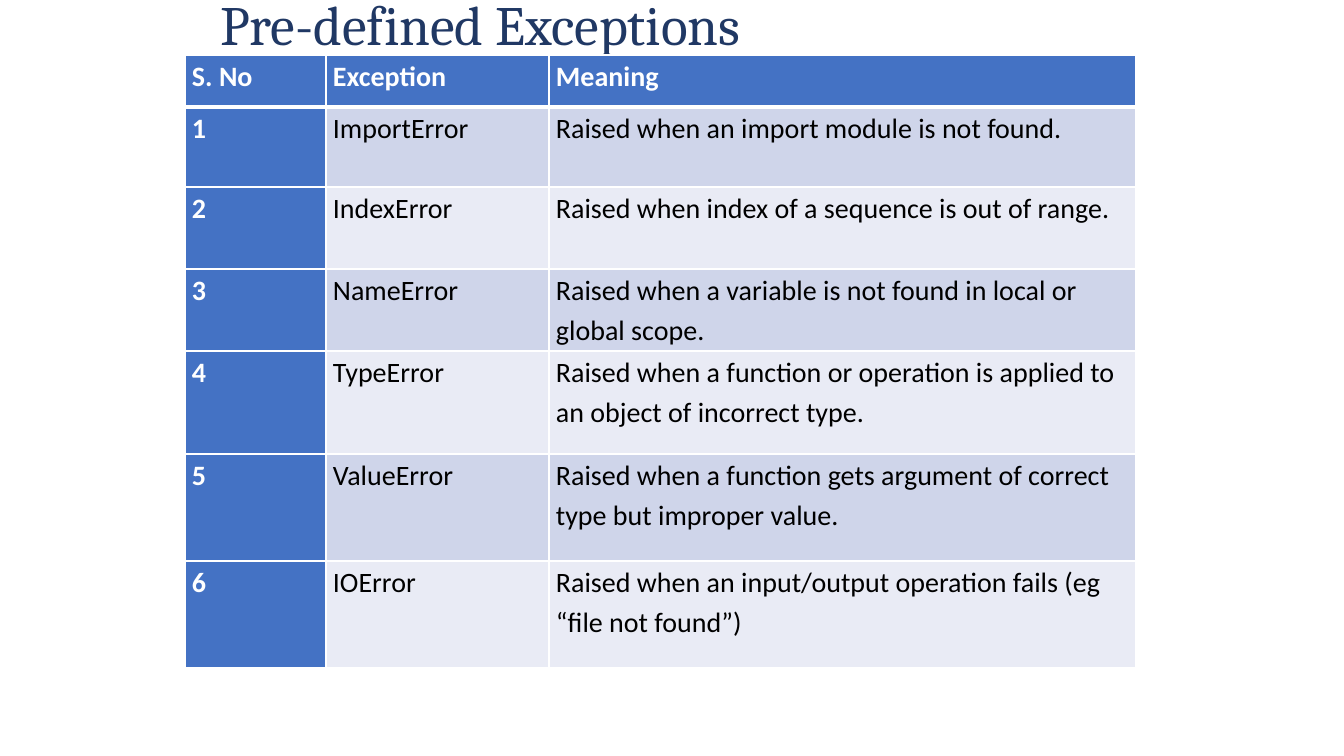
"""Build the slide that tabulates pre-defined exceptions."""
from dataclasses import dataclass

from lxml import etree
from pptx import Presentation
from pptx.dml.color import RGBColor
from pptx.enum.text import MSO_ANCHOR, MSO_AUTO_SIZE, PP_ALIGN
from pptx.oxml.ns import qn
from pptx.util import Emu, Pt

NAVY = RGBColor(0x20, 0x38, 0x64)
BLUE = RGBColor(0x44, 0x72, 0xC4)
BAND_DARK = RGBColor(0xCF, 0xD5, 0xEA)
BAND_LIGHT = RGBColor(0xE9, 0xEB, 0xF5)
WHITE = RGBColor(0xFF, 0xFF, 0xFF)
BLACK = RGBColor(0x00, 0x00, 0x00)

EMU_PER_PIXEL = 914400 / 100.8
COLUMN_WIDTHS = (141, 223, 587)
HEADER_HEIGHT = 52


@dataclass(frozen=True)
class ExceptionRow:
    name: str
    meaning: str
    height: int


EXCEPTIONS = (
    ExceptionRow("ImportError", "Raised when an import module is not found.", 80),
    ExceptionRow("IndexError", "Raised when index of a sequence is out of range.", 82),
    ExceptionRow("NameError", "Raised when a variable is not found in local or global scope.", 82),
    ExceptionRow("TypeError", "Raised when a function or operation is applied to an object of incorrect type.", 103),
    ExceptionRow("ValueError", "Raised when a function gets argument of correct type but improper value.", 107),
    ExceptionRow("IOError", "Raised when an input/output operation fails (eg “file not found”)", 107),
)


def px(pixels: int) -> Emu:
    return Emu(round(pixels * EMU_PER_PIXEL))


def add_borders(cell, bottom_points: int, top_points: int) -> None:
    properties = cell._tc.get_or_add_tcPr()
    for side, points in (("L", 1), ("R", 1), ("T", top_points), ("B", bottom_points)):
        line = etree.SubElement(properties, qn(f"a:ln{side}"), w=str(Pt(points)))
        fill = etree.SubElement(line, qn("a:solidFill"))
        etree.SubElement(fill, qn("a:srgbClr"), val=str(WHITE))


def style_cell(cell, text: str, row: int, column: int) -> None:
    emphasised = row == 0 or column == 0
    add_borders(cell, 3 if row == 0 else 1, 3 if row == 1 else 1)
    cell.fill.solid()
    cell.fill.fore_color.rgb = BLUE if emphasised else (BAND_LIGHT, BAND_DARK)[row % 2]
    cell.margin_left = cell.margin_right = px(7)
    cell.margin_top = cell.margin_bottom = 0
    paragraph = cell.text_frame.paragraphs[0]
    paragraph.line_spacing = 1.15
    run = paragraph.add_run()
    run.text = text
    run.font.name = "Calibri"
    run.font.size = Pt(20)
    run.font.bold = emphasised
    run.font.color.rgb = WHITE if emphasised else BLACK


def add_title(slide, text: str) -> None:
    title = slide.shapes.title
    title.left, title.top, title.width, title.height = map(px, (210, 1, 907, 53))
    frame = title.text_frame
    frame.auto_size = MSO_AUTO_SIZE.NONE
    frame.vertical_anchor = MSO_ANCHOR.MIDDLE
    paragraph = frame.paragraphs[0]
    paragraph.alignment = PP_ALIGN.LEFT
    paragraph.line_spacing = 0.9
    run = paragraph.add_run()
    run.text = text
    run.font.name = "Cambria"
    run.font.size = Pt(39.6)
    run.font.color.rgb = NAVY


def add_exception_table(slide) -> None:
    heights = [HEADER_HEIGHT, *(entry.height for entry in EXCEPTIONS)]
    contents = [("S. No", "Exception", "Meaning")]
    contents += [(str(number), entry.name, entry.meaning) for number, entry in enumerate(EXCEPTIONS, 1)]
    table = slide.shapes.add_table(
        len(heights), len(COLUMN_WIDTHS), px(185), px(55), px(sum(COLUMN_WIDTHS)), px(sum(heights))
    ).table
    for column, width in zip(table.columns, COLUMN_WIDTHS):
        column.width = px(width)
    for row, (height, texts) in enumerate(zip(heights, contents)):
        table.rows[row].height = px(height)
        for column, text in enumerate(texts):
            style_cell(table.cell(row, column), text, row, column)


def main() -> None:
    presentation = Presentation()
    presentation.slide_width, presentation.slide_height = px(1344), px(756)
    slide = presentation.slides.add_slide(presentation.slide_layouts.get_by_name("Title Only"))
    add_title(slide, "Pre-defined Exceptions")
    add_exception_table(slide)
    presentation.save("out.pptx")


main()
